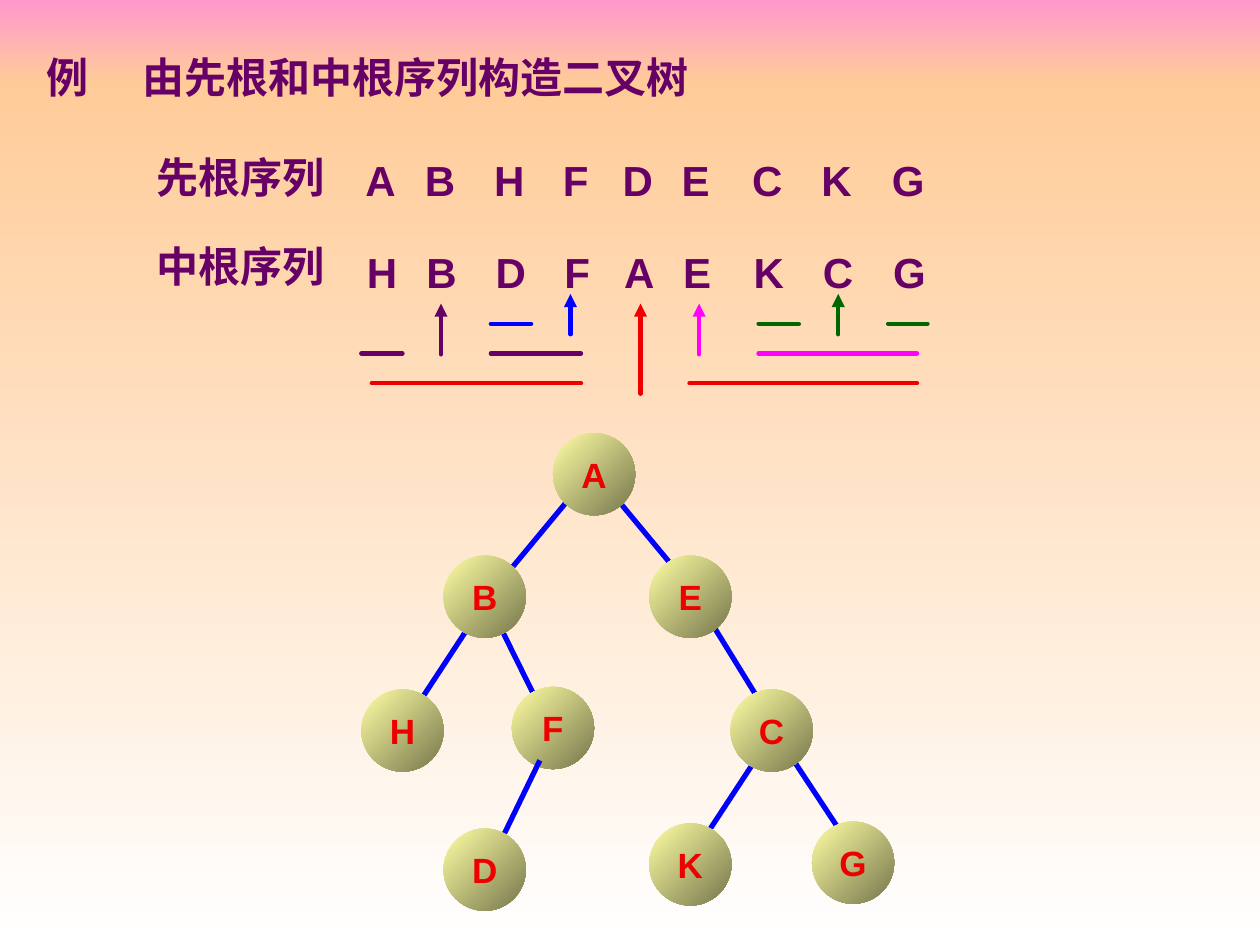
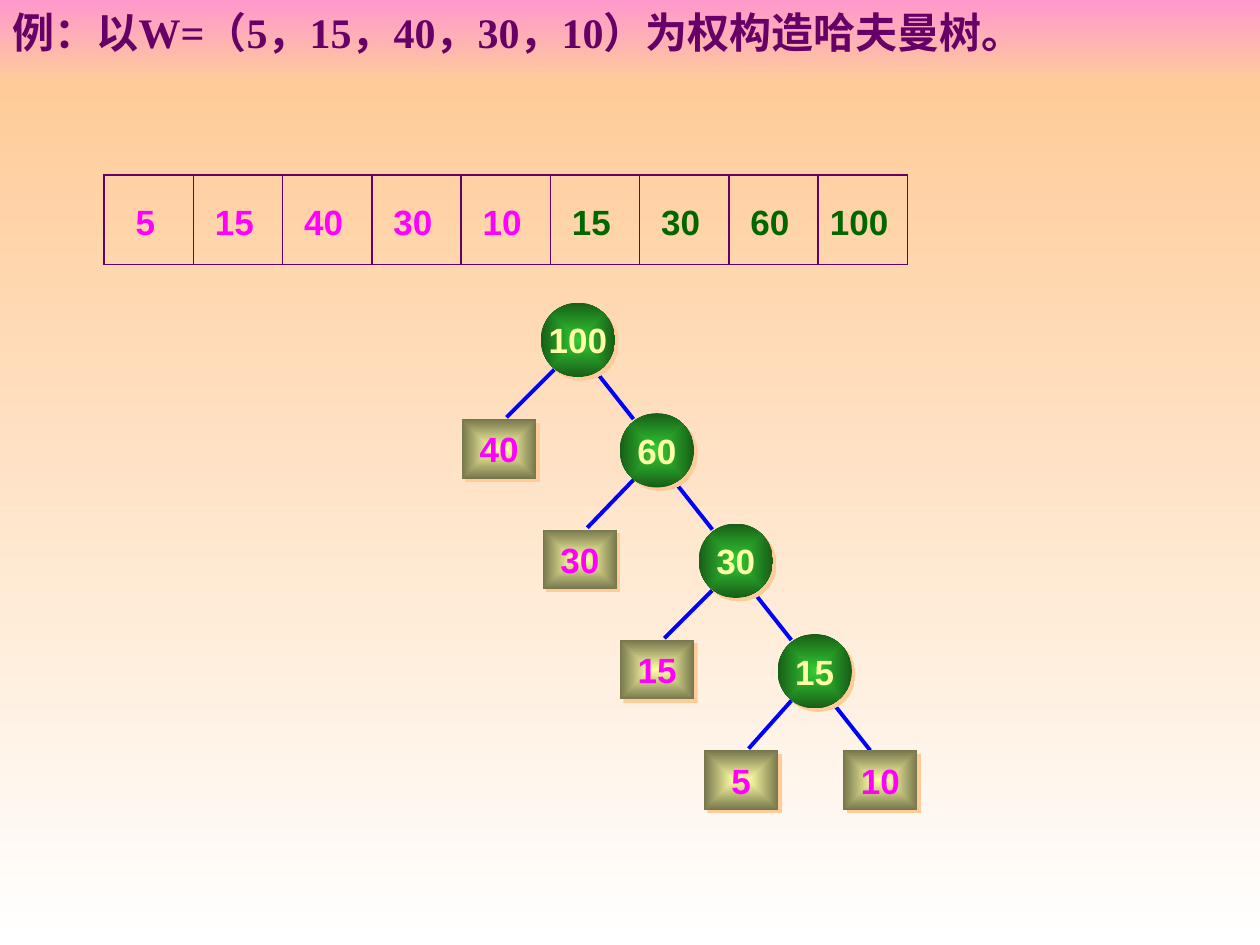
from lxml import etree
from pptx import Presentation
from pptx.dml.color import RGBColor
from pptx.enum import shapes as kinds, text as layout
from pptx.oxml import parse_xml
from pptx.oxml.ns import nsdecls, qn
from pptx.util import Pt

PURPLE, BLUE, RED = "660066", "0000FF", "EE0000"
MAGENTA, GREEN, LEAF_GREEN = "FF00FF", "006600", "33CC33"
PALE_YELLOW, PINK, PEACH, WHITE = "FFFFA5", "FF99CC", "FFCC99", "FFFFFF"
OVAL, RECTANGLE = kinds.MSO_SHAPE.OVAL, kinds.MSO_SHAPE.RECTANGLE
DARKEN = '<a:gamma/><a:shade val="46275"/><a:invGamma/>'
FROM_CENTRE = ('<a:path path="shape"><a:fillToRect l="50000" t="50000" '
               'r="50000" b="50000"/></a:path>')


def color(hex_code):
    return RGBColor.from_string(hex_code)


def linear(degrees):
    return f'<a:lin ang="{degrees * 60000}" scaled="1"/>'


def fill_gradient(shape, start, end, direction, end_change=""):
    shape.fill.background()
    properties = shape.element.spPr
    gradient = parse_xml(
        f'<a:gradFill {nsdecls("a")} rotWithShape="1"><a:gsLst>'
        f'<a:gs pos="0"><a:srgbClr val="{start}"/></a:gs>'
        f'<a:gs pos="100000"><a:srgbClr val="{end}">{end_change}</a:srgbClr></a:gs>'
        f'</a:gsLst>{direction}</a:gradFill>')
    properties.replace(properties.find(qn("a:noFill")), gradient)


def add_run(paragraph, words, size, hex_code, font="Arial"):
    run = paragraph.add_run()
    run.text = words
    run.font.name, run.font.size, run.font.bold = font, Pt(size), True
    run.font.color.rgb = color(hex_code)


def add_plain_shape(slide, kind, left, top, width, height):
    shape = slide.shapes.add_shape(kind, Pt(left), Pt(top), Pt(width), Pt(height))
    shape.line.fill.background()
    shape.shadow.inherit = False
    return shape


def add_master_bands(presentation, slide):
    """Draw the two background bands and move them to the slide master."""
    tree = presentation.slide_master.shapes.element
    bands = [(0, 48, PINK, PEACH), (48, 492, PEACH, WHITE)]
    for index, (top, height, start, end) in enumerate(bands):
        band = add_plain_shape(slide, RECTANGLE, 0, top, 720, height)
        fill_gradient(band, start, end, linear(90))
        tree.insert(2 + index, band.element)


def set_title(slide, words, left, top, width, font="Arial", tab=None):
    title = slide.shapes.title
    title.left, title.top, title.width, title.height = Pt(left), Pt(top), Pt(width), Pt(36)
    frame = title.text_frame
    frame.word_wrap = True
    frame.auto_size = layout.MSO_AUTO_SIZE.NONE
    frame.vertical_anchor = layout.MSO_ANCHOR.TOP
    paragraph = frame.paragraphs[0]
    paragraph.alignment = layout.PP_ALIGN.LEFT
    if tab:
        stops = etree.SubElement(paragraph._p.get_or_add_pPr(), qn("a:tabLst"))
        etree.SubElement(stops, qn("a:tab"), pos=str(Pt(tab)), algn="l")
    add_run(paragraph, words, 24, PURPLE, font)


def add_label(slide, words, centre, top, width):
    box = slide.shapes.add_textbox(Pt(centre - width / 2), Pt(top), Pt(width), Pt(36))
    box.text_frame.word_wrap = False
    paragraph = box.text_frame.paragraphs[0]
    paragraph.alignment = layout.PP_ALIGN.CENTER
    add_run(paragraph, words, 24, PURPLE)


def add_line(slide, start, end, hex_code, width, rounded=False, arrow=False):
    connector = slide.shapes.add_connector(
        kinds.MSO_CONNECTOR.STRAIGHT, *(Pt(value) for value in (*start, *end)))
    connector.line.color.rgb = color(hex_code)
    connector.line.width = Pt(width)
    line = connector.line._get_or_add_ln()
    if rounded:
        line.set("cap", "rnd")
    if arrow:
        etree.SubElement(line, qn("a:tailEnd"), type="triangle")
    etree.SubElement(connector.element.spPr, qn("a:effectLst"))


def add_node(slide, kind, words, box, fill, direction, text_color, shadow=False):
    node = add_plain_shape(slide, kind, *box)
    fill_gradient(node, fill, fill, direction, DARKEN)
    if shadow:
        effects = node.element.spPr.find(qn("a:effectLst"))
        outer = etree.SubElement(effects, qn("a:outerShdw"), dist=str(Pt(2.8)),
                                 dir="2700000", algn="ctr", rotWithShape="0")
        etree.SubElement(outer, qn("a:srgbClr"), val=PEACH)
    frame = node.text_frame
    frame.word_wrap = False
    frame.vertical_anchor = layout.MSO_ANCHOR.MIDDLE
    paragraph = frame.paragraphs[0]
    paragraph.alignment = layout.PP_ALIGN.CENTER
    add_run(paragraph, words, 20, text_color)


def add_sequences(slide):
    columns = [217.5, 251.5, 291, 329, 364.5, 397.5, 438.5, 478, 518.5]
    rows = [("先根序列", 83, "ABHFDECKG", 85, 0),
            ("中根序列", 134, "HBDFAEKCG", 137.5, 0.8)]
    for name, name_top, letters, letters_top, shift in rows:
        add_label(slide, name, 137.5, name_top, 110.5)
        for letter, centre in zip(letters, columns):
            add_label(slide, letter, centre + shift, letters_top, 32)


def add_split_marks(slide):
    """Arrow to each subtree root, and bars under its left and right parts."""
    marks = [
        (RED, 366, 225, 173.5, 219, [(212.5, 332), (394, 524)]),
        (PURPLE, 252, 202.5, 173.5, 202, [(206.5, 230), (280.5, 332)]),
        (BLUE, 326, 191, 168, 185, [(280.5, 303.5)]),
        (MAGENTA, 399.5, 202.5, 173.5, 202, [(433.5, 524)]),
        (GREEN, 479, 191, 168, 185, [(433.5, 456.5), (507.5, 530)]),
    ]
    for hex_code, x, bottom, tip, bar_y, bars in marks:
        add_line(slide, (x, bottom), (x, tip), hex_code, 2.5, rounded=True, arrow=True)
        for left, right in bars:
            add_line(slide, (left, bar_y), (right, bar_y), hex_code, 2.5, rounded=True)


def add_letter_tree(slide):
    """Each node has its place and the line to its parent, children first."""
    nodes = [
        ("H", 206.5, 394, (269, 356.5), (238.5, 403)),
        ("F", 292.5, 392.5, (285, 356.5), (308, 403)),
        ("D", 253.5, 473.5, (308.5, 434.5), (285, 483)),
        ("K", 371, 470.5, (432.5, 433), (402, 479.5)),
        ("G", 464, 469.5, (448.5, 427), (479.5, 474)),
        ("B", 253.5, 317.5, (324, 286.5), (285, 333.5)),
        ("C", 417.5, 394, (402, 348.5), (440.5, 411)),
        ("E", 371, 317.5, (347, 278.5), (386, 325.5)),
        ("A", 316, 247.5, None, None),
    ]
    for letter, left, top, start, end in nodes:
        if start:
            add_line(slide, start, end, BLUE, 3)
        add_node(slide, OVAL, letter, (left, top, 47, 47), PALE_YELLOW, linear(45), RED)


def add_weight_table(slide):
    weights = [5, 15, 40, 30, 10, 15, 30, 60, 100]
    given = 5
    side = 51
    frame = slide.shapes.add_table(1, len(weights), Pt(59.5), Pt(100),
                                   Pt(side * len(weights)), Pt(side))
    table = frame.table
    table.first_row = table.horz_banding = False
    for index, weight in enumerate(weights):
        table.columns[index].width = Pt(side)
        cell = table.cell(0, index)
        cell.vertical_anchor = layout.MSO_ANCHOR.MIDDLE
        cell.margin_left, cell.margin_right = Pt(0), Pt(4)
        cell.margin_top, cell.margin_bottom = Pt(6), Pt(2)
        for edge in ("lnL", "lnR", "lnT", "lnB"):
            border = etree.SubElement(cell._tc.get_or_add_tcPr(), qn(f"a:{edge}"),
                                      w=str(Pt(1)))
            solid = etree.SubElement(border, qn("a:solidFill"))
            etree.SubElement(solid, qn("a:srgbClr"), val=PURPLE)
        cell.fill.background()
        paragraph = cell.text_frame.paragraphs[0]
        paragraph.alignment = layout.PP_ALIGN.CENTER
        add_run(paragraph, str(weight), 20, MAGENTA if index < given else GREEN)


def add_huffman_tree(slide):
    def add_leaf(weight, left, top):
        add_node(slide, RECTANGLE, weight, (left, top, 42.5, 34), PALE_YELLOW,
                 FROM_CENTRE, MAGENTA, shadow=True)

    levels = [("100", "40", 45), ("60", "30", 44), ("30", "15", 45), ("15", "5", 42)]
    for index, (total, leaf, leaf_shift) in enumerate(levels):
        left, top = 309 + 45.1 * index, 173 + 63.1 * index
        leaf_left, leaf_top = left - leaf_shift, top + 66.5
        add_line(slide, (left + 8, top + 38), (leaf_left + 25.5, top + 65.5), BLUE, 2.25)
        add_line(slide, (left + 30.5, top + 38), (left + 53, top + 66.5), BLUE, 2.25)
        add_node(slide, OVAL, total, (left, top, 42.5, 42.5), LEAF_GREEN,
                 FROM_CENTRE, PALE_YELLOW, shadow=True)
        add_leaf(leaf, leaf_left, leaf_top)
    add_leaf("10", left + 37.5, leaf_top)


def main():
    presentation = Presentation()
    presentation.slide_width, presentation.slide_height = Pt(720), Pt(540)
    title_only = presentation.slide_layouts[5]

    traversal = presentation.slides.add_slide(title_only)
    add_master_bands(presentation, traversal)
    set_title(traversal, "例\t由先根和中根序列构造二叉树", 19.5, 26, 686, tab=54.5)
    add_sequences(traversal)
    add_split_marks(traversal)
    add_letter_tree(traversal)

    huffman = presentation.slides.add_slide(title_only)
    set_title(huffman, "例：以W=（5，15，40，30，10）为权构造哈夫曼树。", 0, 0, 720,
              font="Times New Roman")
    add_weight_table(huffman)
    add_huffman_tree(huffman)

    presentation.save("out.pptx")


if __name__ == "__main__":
    main()
